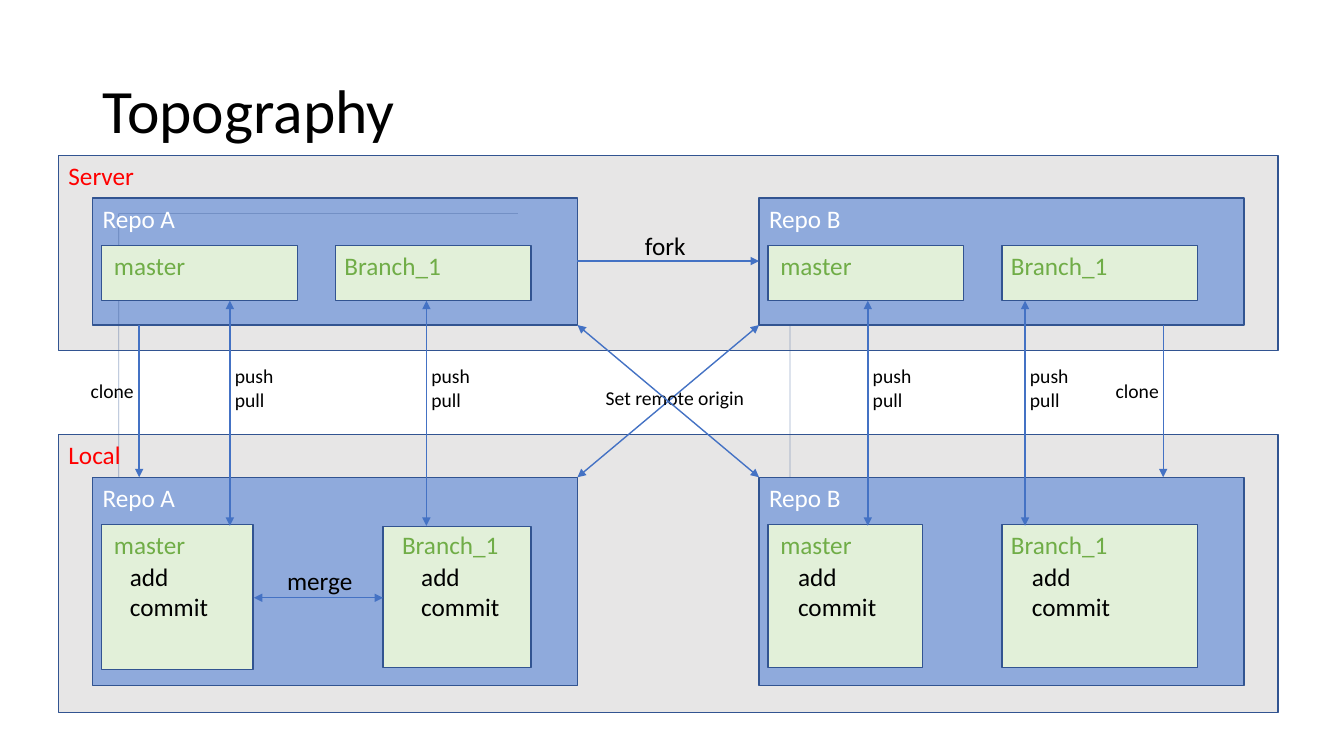
from lxml import etree
from pptx import Presentation
from pptx.dml.color import RGBColor
from pptx.enum.shapes import MSO_CONNECTOR, MSO_SHAPE
from pptx.enum.text import MSO_ANCHOR
from pptx.oxml.ns import qn
from pptx.util import Pt

RECTANGLE = MSO_SHAPE.RECTANGLE
STRAIGHT = MSO_CONNECTOR.STRAIGHT
COLORS = {"area": "E7E6E6", "repo": "8FAADC", "card": "E2F0D9", "edge": "325491",
          "arrow": "4472C4", "black": "000000", "white": "FFFFFF",
          "heading": "FF0000", "branch": "70AD47"}
FONT = "Calibri"

# Content: levels from top to bottom, all lengths in points
SERVER = {"name": "Server", "name_width": 62, "top": 110.9, "height": 139.7,
          "repo_height": 90.7}
LOCAL = {"name": "Local", "name_width": 52.6, "top": 310.3, "height": 198.7,
         "repo_height": 149}
AREA_LEFT, AREA_WIDTH = 41.8, 871.2
REPO_INSET, REPO_WIDTH = 30.6, 346.3
CARD_INSET = 33.7
REPOS = {"Repo A": 66.2, "Repo B": 542.2}

# Cards: name, left from repo, top shift, width, height, label left from repo
SERVER_CARDS = [("master", 6.5, 0, 139.7, 39.6, 8.1),
                ("Branch_1", 173.5, 0, 139.7, 39.6, 172.8)]
LOCAL_CARDS = {
    "Repo A": [("master", 6.5, 0, 108, 103.7, 8.1),
               ("Branch_1", 207.4, 1.5, 105.8, 100.8, 213.9)],
    "Repo B": [("master", 6.5, 0, 110.2, 102.2, 8.1),
               ("Branch_1", 173.5, 0, 139.7, 102.2, 172.8)],
}
LABEL_WIDTHS = {"master": 66.2, "Branch_1": 84.2}
COMMANDS = ["add", "commit"]
COMMAND_LEFTS = [85.7, 293.8, 563, 730.1]
SYNC = ["push", "pull"]
SYNC_LEFTS = [164.2, 304.6, 619.9, 732.2]
CLONES = [(99.4, 57.6), (830.9, 789.8)]  # arrow x, label left

deck = Presentation()
deck.slide_width, deck.slide_height = Pt(960), Pt(540)
page = deck.slides.add_slide(deck.slide_layouts[6])


def color(name):
    return RGBColor.from_string(COLORS[name])


def add_box(left, top, width, height, fill):
    box = page.shapes.add_shape(RECTANGLE, Pt(left), Pt(top), Pt(width), Pt(height))
    box.shadow.inherit = False
    box.fill.solid()
    box.fill.fore_color.rgb = color(fill)
    box.line.color.rgb = color("edge")
    box.line.width = Pt(1)


def add_text(lines, left, top, width, height=29, size=18, ink="black", wrap=False):
    box = page.shapes.add_textbox(Pt(left), Pt(top), Pt(width), Pt(height))
    frame = box.text_frame
    frame.word_wrap = wrap
    frame.text = "\n".join(lines)
    for para in frame.paragraphs:
        para.font.name = FONT
        para.font.size = Pt(size)
        para.font.color.rgb = color(ink)
    return frame


def add_arrow(x1, y1, x2, y2, double=True):
    arrow = page.shapes.add_connector(STRAIGHT, Pt(x1), Pt(y1), Pt(x2), Pt(y2))
    arrow.line.color.rgb = color("arrow")
    arrow.line.width = Pt(1)
    line = arrow.line._get_or_add_ln()
    for end in ("headEnd", "tailEnd") if double else ("tailEnd",):
        etree.SubElement(line, qn("a:" + end), type="triangle")
    etree.SubElement(arrow._element.spPr, qn("a:effectLst"))


def add_guide(*points):
    start, *rest = [(Pt(x), Pt(y)) for x, y in points]
    builder = page.shapes.build_freeform(*start)
    builder.add_line_segments(rest, close=False)
    guide = builder.convert_to_shape()
    guide.shadow.inherit = False
    guide.fill.background()
    guide.line.color.rgb = color("edge")
    guide.line.width = Pt(0.5)
    for tint in guide._element.spPr.iter(qn("a:srgbClr")):
        etree.SubElement(tint, qn("a:alpha"), val="45000")


def add_repo(level, name, cards):
    left, top = REPOS[name], level["top"] + REPO_INSET
    add_box(left, top, REPO_WIDTH, level["repo_height"], "repo")
    if (level, name) == (SERVER, "Repo A"):
        add_guide((370, 152.6), (84.9, 152.6), (84.9, repo_top))
    add_text([name], left, top, 66.6, ink="white")
    card_top = top + CARD_INSET
    for label, shift, drop, width, height, label_shift in cards:
        add_box(left + shift, card_top + drop, width, height, "card")
        add_text([label], left + label_shift, card_top, LABEL_WIDTHS[label], ink="branch")


# Title
title = add_text(["Topography"], 66.2, 28.8, 828, 104.4, size=44, wrap=True)
title.vertical_anchor = MSO_ANCHOR.MIDDLE
title.paragraphs[0].line_spacing = 0.9

# Derived edges
server_bottom = SERVER["top"] + REPO_INSET + SERVER["repo_height"]
repo_top = LOCAL["top"] + REPO_INSET
card_bottom = SERVER["top"] + REPO_INSET + CARD_INSET + 39.6
card_top = repo_top + CARD_INSET
a_right, b_left = REPOS["Repo A"] + REPO_WIDTH, REPOS["Repo B"]

# Areas with their repos and branches
for level in (LOCAL, SERVER):
    add_box(AREA_LEFT, level["top"], AREA_WIDTH, level["height"], "area")
add_guide((564.3, server_bottom), (564.3, repo_top))
for level in (SERVER, LOCAL):
    add_text([level["name"]], AREA_LEFT, level["top"], level["name_width"], ink="heading")
    for name in REPOS:
        add_repo(level, name, SERVER_CARDS if level is SERVER else LOCAL_CARDS[name])
for left in COMMAND_LEFTS:
    add_text(COMMANDS, left, 397.4, 74.2, 72.7, wrap=True)

# Fork and merge
add_arrow(a_right, 186.5, b_left, 186.5, double=False)
add_text(["fork"], 453.6, 161.3, 43.9)
add_arrow(181.4, 427, 273.6, 427)
add_text(["merge"], 198, 400.3, 61.9)

# Remote origin cross
add_arrow(b_left, server_bottom, a_right, repo_top)
add_text(["Set remote origin"], 425.5, 272.2, 114.5, 24.5, size=14)
add_arrow(a_right, server_bottom, b_left, repo_top)

# Clone, push and pull between the levels
for x, label_left in CLONES:
    add_arrow(x, server_bottom, x, repo_top, double=False)
    add_text(["clone"], label_left, 267, 51.8, 24.5, size=14, wrap=True)
for x in SYNC_LEFTS:
    add_arrow(x, card_bottom, x, card_top + 1)
    add_text(SYNC, x - 3.6, 256.5, 42.5, 41, size=14)

deck.save("out.pptx")
